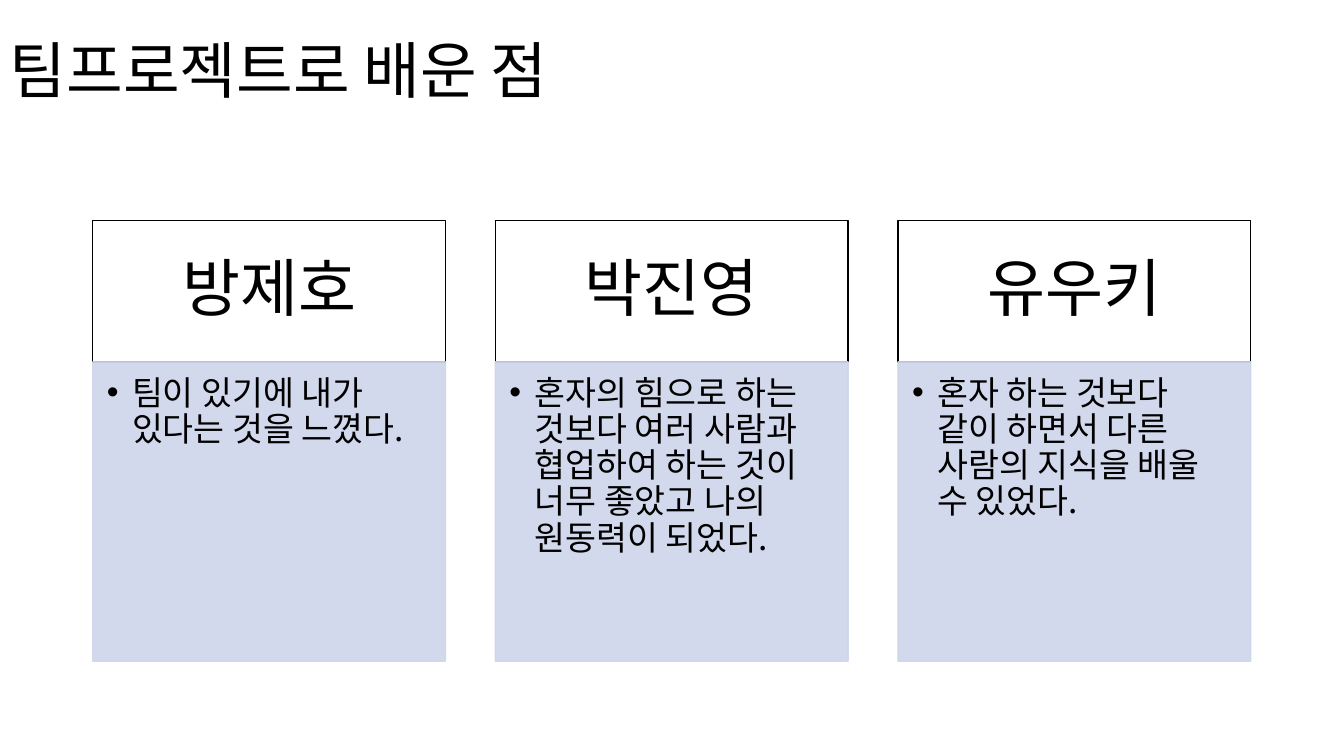
from lxml.etree import SubElement
from pptx import Presentation
from pptx.dml.color import RGBColor
from pptx.enum.shapes import MSO_SHAPE
from pptx.enum.text import MSO_ANCHOR, PP_ALIGN
from pptx.oxml.ns import qn
from pptx.util import Pt

BLACK = RGBColor(0x00, 0x00, 0x00)
WHITE = RGBColor(0xFF, 0xFF, 0xFF)
LAVENDER = RGBColor(0xCF, 0xD5, 0xEA)

LESSONS = [
    ("방제호", "팀이 있기에 내가 있다는 것을 느꼈다."),
    ("박진영", "혼자의 힘으로 하는 것보다 여러 사람과 협업하여 하는 것이 너무 좋았고 나의 원동력이 되었다."),
    ("유우키", "혼자 하는 것보다 같이 하면서 다른 사람의 지식을 배울 수 있었다."),
]
CARD_LEFT, CARD_STEP, CARD_WIDTH = 66.24, 287.6, 252
NAME_TOP, NAME_HEIGHT = 157.7, 100.8
LESSON_HEIGHT = 213.8


class LessonSlide:
    font_name = "Noto Sans CJK KR"
    line_spacing = 0.9

    def __init__(self, slide):
        self.slide = slide

    def add_text(self, holder, text, size, align, anchor, insets):
        frame = holder.text_frame
        frame.word_wrap = True
        frame.vertical_anchor = anchor
        frame.margin_left, frame.margin_top, frame.margin_right, frame.margin_bottom = map(Pt, insets)
        paragraph = frame.paragraphs[0]
        paragraph.alignment = align
        paragraph.line_spacing = self.line_spacing
        run = paragraph.add_run()
        run.text = text
        run.font.size = Pt(size)
        run.font.name = self.font_name
        run.font.color.rgb = BLACK
        SubElement(run.font._element, qn("a:ea"), typeface=self.font_name)
        return paragraph

    def title(self, text):
        heading = self.slide.shapes.add_textbox(0, 0, Pt(828), Pt(104.4))
        self.add_text(heading, text, 44, PP_ALIGN.LEFT, MSO_ANCHOR.MIDDLE, (7.2, 3.6, 7.2, 3.6))

    def panel(self, left, top, height, fill, line):
        panel = self.slide.shapes.add_shape(
            MSO_SHAPE.RECTANGLE, Pt(left), Pt(top), Pt(CARD_WIDTH), Pt(height))
        panel.shadow.inherit = False
        panel.fill.solid()
        panel.fill.fore_color.rgb = fill
        panel.line.color.rgb = line
        panel.line.width = Pt(1)
        return panel

    def member(self, left, text):
        panel = self.panel(left, NAME_TOP, NAME_HEIGHT, WHITE, BLACK)
        self.add_text(panel, text, 45, PP_ALIGN.CENTER, MSO_ANCHOR.MIDDLE, (25.2, 14.4, 25.2, 14.4))

    def lesson(self, left, text):
        panel = self.panel(left, NAME_TOP + NAME_HEIGHT, LESSON_HEIGHT, LAVENDER, LAVENDER)
        for color in panel._element.spPr.iter(qn("a:srgbClr")):
            SubElement(color, qn("a:alpha"), val="90000")
        paragraph = self.add_text(panel, text, 24, PP_ALIGN.LEFT, MSO_ANCHOR.TOP, (10.1, 10.1, 13.7, 15.1))
        paragraph.level = 1
        properties = paragraph._p.get_or_add_pPr()
        properties.set("marL", str(Pt(18)))
        properties.set("indent", str(-Pt(18)))
        SubElement(properties, qn("a:buFont"), typeface="Arial")
        SubElement(properties, qn("a:buChar"), char="•")


def main():
    deck = Presentation()
    deck.slide_width, deck.slide_height = Pt(960), Pt(540)
    page = LessonSlide(deck.slides.add_slide(deck.slide_layouts[6]))
    page.title("팀프로젝트로 배운 점")
    for column, (name, lesson) in enumerate(LESSONS):
        left = CARD_LEFT + column * CARD_STEP
        page.member(left, name)
        page.lesson(left, lesson)
    deck.save("out.pptx")


if __name__ == "__main__":
    main()
